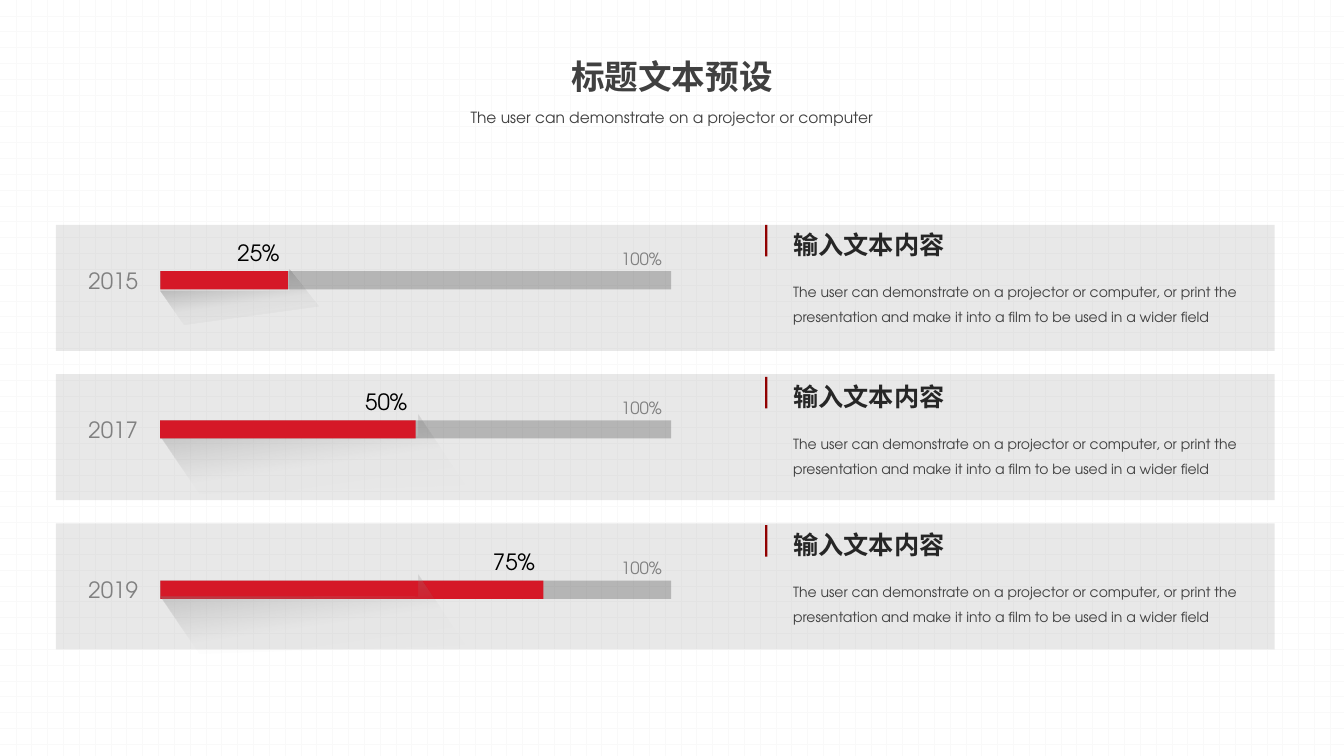
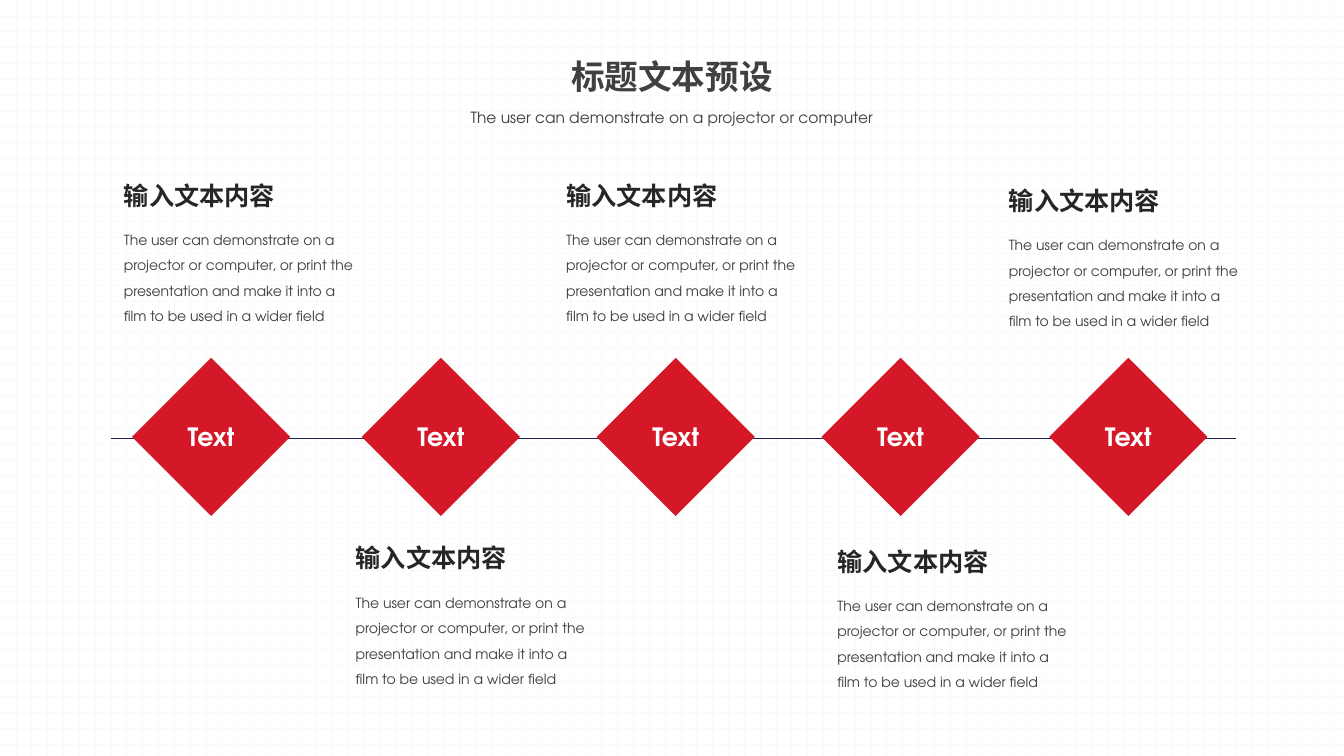
"""Build two slides: yearly progress bars and a diamond timeline."""
from lxml.etree import SubElement
from pptx import Presentation
from pptx.dml.color import RGBColor
from pptx.enum.dml import MSO_PATTERN
from pptx.enum.shapes import MSO_CONNECTOR, MSO_SHAPE
from pptx.enum.text import MSO_ANCHOR, MSO_AUTO_SIZE, PP_ALIGN
from pptx.oxml import parse_xml
from pptx.oxml.ns import nsdecls, qn
from pptx.util import Pt

FONT = "TeX Gyre Adventor"
WHITE = RGBColor(0xFF, 0xFF, 0xFF)
BLACK = RGBColor(0, 0, 0)
GRID = RGBColor(0xF9, 0xF9, 0xF9)
RED = RGBColor(0xD5, 0x18, 0x27)
MAROON = RGBColor(0x90, 0, 0)
NAVY = RGBColor(0x1B, 0x21, 0x53)
INK = RGBColor(0x23, 0x23, 0x25)
DARK = RGBColor(0x26, 0x26, 0x26)
TEXT = RGBColor(0x40, 0x40, 0x40)
GRAY = RGBColor(0x80, 0x80, 0x80)
MID = RGBColor(0x96, 0x96, 0x96)

TITLE = "标题文本预设"
SUB = "The user can demonstrate on a projector or computer"
HEAD = "输入文本内容"
BODY = ("The user can demonstrate on a projector or computer, or print the "
        "presentation and make it into a film to be used in a wider field")

SHORT = {"points": [(113, 25), (92, -1), (92, 14), (0, 14), (17, 38)],
         "stops": [(0, GRAY, 80), (59, MID, 10), (100, GRAY, 0)]}
LONG = {"points": [(218, 46), (184, -4), (184, 11.5), (0, 11.5), (28, 52)],
        "stops": [(0, GRAY, 48), (61, MID, 1), (100, GRAY, 0)]}
ROWS = [
    ("2015", 25, 193.7, 160.6, SHORT, ("track", "shade", "bar")),
    ("2017", 50, 300.2, 269.3, LONG, ("shade", "track", "bar")),
    ("2019", 75, 414.7, 375.1, LONG, ("track", "bar", "shade")),
]
BAND_TOP, BAND_STEP = 160.6, 106.6
TRACK_X, TRACK_W, TRACK_H = 114.5, 365, 13

GEMS = [94.3, 258.5, 426.2, 586.8, 749.5]
GEM_TOP, GEM_SIZE = 255.6, 113
NOTES = [(81.4, 127.4), (247, 386.6), (397.4, 127.4), (591.1, 388.8), (713.5, 131)]


def place(shape, box):
    shape.left, shape.top, shape.width, shape.height = map(Pt, box)


def write(shape, text, size, color, bold=False, align=PP_ALIGN.LEFT,
          space=1.0, anchor=MSO_ANCHOR.TOP):
    frame = shape.text_frame
    frame.text = text
    frame.word_wrap = True
    frame.auto_size = MSO_AUTO_SIZE.NONE
    frame.vertical_anchor = anchor
    para = frame.paragraphs[0]
    para.alignment = align
    para.line_spacing = space
    para.space_before = Pt(0)
    font = para.runs[0].font
    font.name, font.size, font.bold = FONT, Pt(size), bold
    font.color.rgb = color


def label(slide, box, text, size, color, **style):
    write(slide.shapes.add_textbox(*map(Pt, box)), text, size, color, **style)


def block(slide, kind, box, color, alpha=100):
    shape = slide.shapes.add_shape(kind, *map(Pt, box))
    shape.shadow.inherit = False
    shape.line.fill.background()
    shape.fill.solid()
    shape.fill.fore_color.rgb = color
    if alpha < 100:
        tone = shape.fill._xPr.find(qn("a:solidFill"))[0]
        SubElement(tone, qn("a:alpha"), val=str(alpha * 1000))
    return shape


def shade(slide, top, look):
    spots = [(Pt(TRACK_X + x), Pt(top + y)) for x, y in look["points"]]
    build = slide.shapes.build_freeform(*spots[0])
    build.add_line_segments(spots[1:], close=True)
    shape = build.convert_to_shape()
    shape.shadow.inherit = False
    shape.line.fill.background()
    shape.fill.solid()
    stops = "".join(
        f'<a:gs pos="{at * 1000}"><a:srgbClr val="{color}">'
        f'<a:alpha val="{alpha * 1000}"/></a:srgbClr></a:gs>'
        for at, color, alpha in look["stops"])
    grad = parse_xml(f'<a:gradFill {nsdecls("a")} rotWithShape="1"><a:gsLst>{stops}'
                     '</a:gsLst><a:lin ang="4920000" scaled="0"/></a:gradFill>')
    solid = shape.fill._xPr.find(qn("a:solidFill"))
    solid.getparent().replace(solid, grad)


def note(slide, x, y, width, height, gap):
    label(slide, (x, y, 190, 29), HEAD, 18, DARK, bold=True, space=0.9)
    label(slide, (x, y + gap, width, height), BODY, 10, TEXT, space=1.5)


def start(deck):
    slide = deck.slides.add_slide(deck.slide_layouts[0])
    title, sub = slide.placeholders
    place(title, (385, 39.6, 190, 29))
    write(title, TITLE, 24, TEXT, bold=True, align=PP_ALIGN.CENTER, space=0.9)
    place(sub, (280, 73.4, 400, 21))
    write(sub, SUB, 11, TEXT, align=PP_ALIGN.CENTER)
    return slide


def progress(deck):
    slide = start(deck)
    rect = MSO_SHAPE.RECTANGLE
    side = {"align": PP_ALIGN.RIGHT, "anchor": MSO_ANCHOR.MIDDLE}
    for i, (year, share, top, mark, look, order) in enumerate(ROWS):
        block(slide, rect, (40, BAND_TOP + i * BAND_STEP, 870.5, 90), INK, 10)
        block(slide, rect, (546.5, mark, 1.7, 22.5), MAROON)
        done = TRACK_W * share / 100
        for part in order:
            if part == "track":
                block(slide, rect, (TRACK_X, top, TRACK_W, TRACK_H), BLACK, 22)
            elif part == "bar":
                block(slide, rect, (TRACK_X, top, done, TRACK_H), RED)
            else:
                shade(slide, top, look)
        label(slide, (49.7, top - 10, 56, 33), year, 16, GRAY, **side)
        label(slide, (TRACK_X + done - 55, top - 26.7, 56, 26.6), f"{share}%",
              16, BLACK, **side)
        label(slide, (424, top - 18, 56, 18), "100%", 12, GRAY, **side)
        note(slide, 559.5, mark + 2, 360, 41, 30.2)


def timeline(deck):
    slide = start(deck)
    line = slide.shapes.add_connector(
        MSO_CONNECTOR.STRAIGHT, Pt(79.5), Pt(313), Pt(882.7), Pt(313))
    line.line.color.rgb = NAVY
    line.line.width = Pt(0.5)
    SubElement(line._element.spPr, qn("a:effectLst"))
    for x in GEMS:
        gem = block(slide, MSO_SHAPE.DIAMOND, (x, GEM_TOP, GEM_SIZE, GEM_SIZE), RED)
        write(gem, "Text", 18, WHITE, bold=True, align=PP_ALIGN.CENTER,
              anchor=MSO_ANCHOR.MIDDLE)
        gem.text_frame.margin_left = gem.text_frame.margin_right = 0
    for x, y in NOTES:
        note(slide, x, y, 180, 78, 28.6)


def main():
    deck = Presentation()
    deck.slide_width, deck.slide_height = Pt(960), Pt(540)
    fill = deck.slide_master.background.fill
    fill.patterned()
    fill.pattern = MSO_PATTERN.DOTTED_GRID
    fill.fore_color.rgb = GRID
    fill.back_color.rgb = WHITE
    progress(deck)
    timeline(deck)
    deck.save("out.pptx")


if __name__ == "__main__":
    main()
